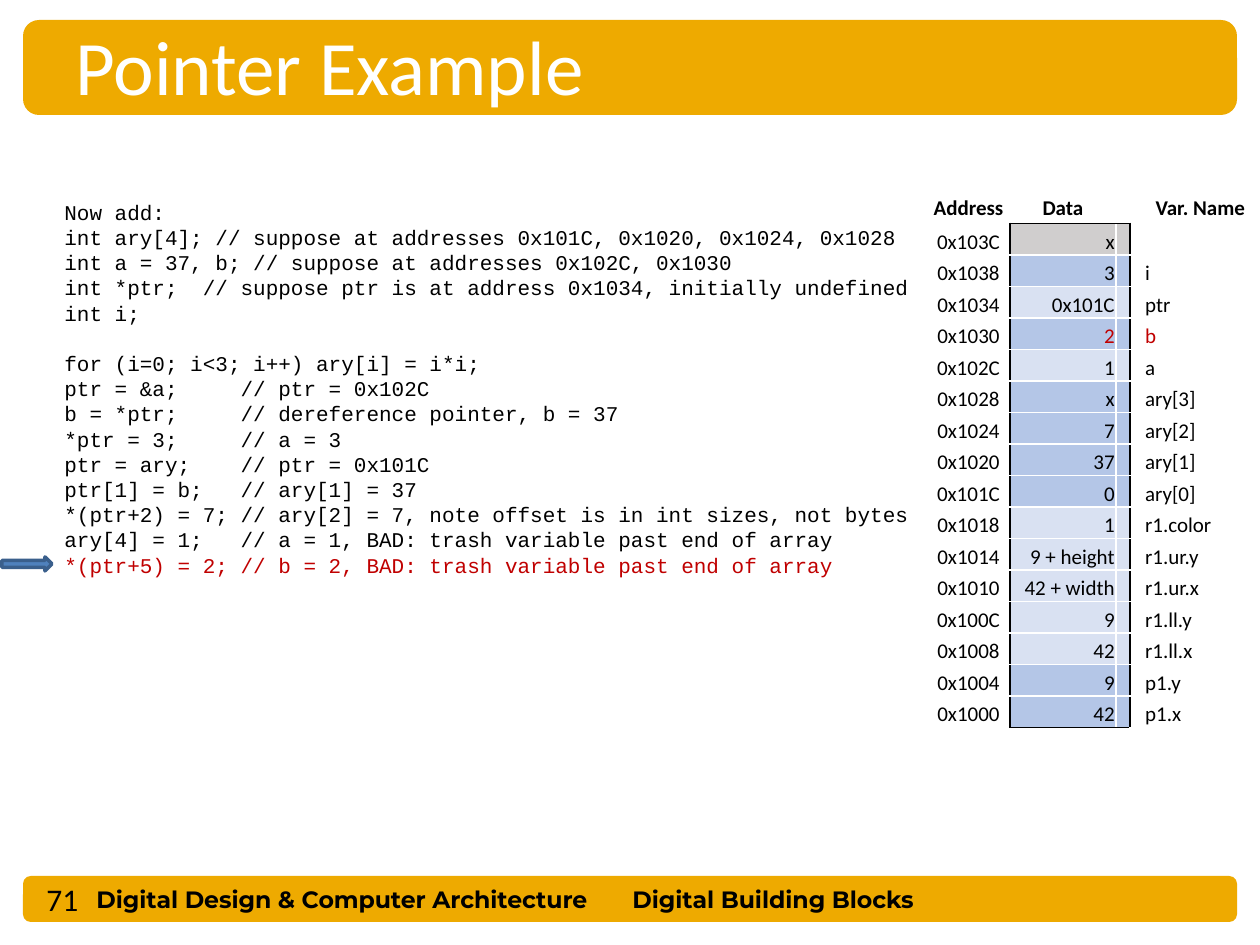
from lxml import etree
from pptx import Presentation
from pptx.dml.color import RGBColor
from pptx.enum.shapes import MSO_SHAPE
from pptx.enum.text import MSO_ANCHOR, PP_ALIGN
from pptx.oxml.ns import qn
from pptx.util import Inches, Pt

ROUNDED = MSO_SHAPE.ROUNDED_RECTANGLE
RIGHT_ARROW = MSO_SHAPE.RIGHT_ARROW
MIDDLE, BOTTOM = MSO_ANCHOR.MIDDLE, MSO_ANCHOR.BOTTOM
LEFT, CENTER, RIGHT = PP_ALIGN.LEFT, PP_ALIGN.CENTER, PP_ALIGN.RIGHT
PX = 914400 / 126
COLORS = {
    "gold": "EEAA00", "black": "000000", "white": "FFFFFF", "red": "C00000",
    "arrow": "4F81BD", "arrow_edge": "3A5F8C",
    "gray": "D0CECE", "blue": "B4C6E7", "pale": "D9E1F2",
}


def style(para, size, font, color="black", bold=False, align=LEFT):
    para.alignment = align
    para.font.size = Pt(size)
    para.font.name = font
    para.font.bold = bold
    para.font.color.rgb = RGBColor.from_string(COLORS[color])


def add_border(cell, side, color):
    line = etree.SubElement(cell._tc.get_or_add_tcPr(), qn(f"a:ln{side}"), w="12700")
    fill = etree.SubElement(line, qn("a:solidFill"))
    etree.SubElement(fill, qn("a:srgbClr"), val=COLORS[color])


deck = Presentation()
deck.slide_width, deck.slide_height = Inches(10), Inches(7.5)
page = deck.slides.add_slide(deck.slide_layouts[6])

for kind, area, fill, edge in [
    (ROUNDED, (23, 876, 1214, 46), "gold", None),
    (ROUNDED, (23, 20, 1214, 95), "gold", None),
    (RIGHT_ARROW, (2, 557, 50, 14), "arrow", "arrow_edge"),
]:
    shape = page.shapes.add_shape(kind, *[int(n * PX) for n in area])
    shape.shadow.inherit = False
    shape.fill.solid()
    shape.fill.fore_color.rgb = RGBColor.from_string(COLORS[fill])
    if edge:
        shape.line.color.rgb = RGBColor.from_string(COLORS[edge])
        shape.line.width = Pt(2)
    else:
        shape.line.fill.background()

for text, area, size, font, color, bold in [
    ("Digital Design & Computer Architecture", (84, 878, 559, 42), 13.5, "Montserrat", "black", True),
    ("Digital Building Blocks", (620, 878, 370, 42), 13.5, "Montserrat", "black", True),
    ("Pointer Example", (63, 12, 1092, 106), 44, "Calibri", "white", False),
    ("71", (34, 874, 103, 49), 18, "Calibri", "black", False),
]:
    box = page.shapes.add_textbox(*[int(n * PX) for n in area])
    box.text_frame.word_wrap = True
    box.text_frame.vertical_anchor = MIDDLE
    para = box.text_frame.paragraphs[0]
    para.text = text
    style(para, size, font, color, bold)

declarations = [
    "Now add:",
    "int ary[4]; // suppose at addresses 0x101C, 0x1020, 0x1024, 0x1028",
    "int a = 37, b; // suppose at addresses 0x102C, 0x1030",
    "int *ptr;  // suppose ptr is at address 0x1034, initially undefined",
    "int i;",
]
statements = [
    "for (i=0; i<3; i++) ary[i] = i*i;",
    "ptr = &a;     // ptr = 0x102C",
    "b = *ptr;     // dereference pointer, b = 37",
    "*ptr = 3;     // a = 3",
    "ptr = ary;    // ptr = 0x101C",
    "ptr[1] = b;   // ary[1] = 37",
    "*(ptr+2) = 7; // ary[2] = 7, note offset is in int sizes, not bytes",
    "ary[4] = 1;   // a = 1, BAD: trash variable past end of array",
    "*(ptr+5) = 2; // b = 2, BAD: trash variable past end of array",
]
code_box = page.shapes.add_textbox(*[int(n * PX) for n in (52, 193, 906, 394)])
code_box.text_frame.word_wrap = True
code_box.text_frame.text = "\n".join(declarations + statements)
code_lines = code_box.text_frame.paragraphs
for para in code_lines:
    para.line_spacing = Pt(14.4)
    style(para, 12, "Courier New", "red" if para is code_lines[-1] else "black")
code_lines[len(declarations)].space_before = Pt(14.4)

memory = [
    ("x", "", "gray"), ("3", "i", "blue"), ("0x101C", "ptr", "pale"),
    ("2", "b", "blue"), ("1", "a", "pale"), ("x", "ary[3]", "blue"),
    ("7", "ary[2]", "blue"), ("37", "ary[1]", "blue"), ("0", "ary[0]", "blue"),
    ("1", "r1.color", "pale"), ("9 + height", "r1.ur.y", "pale"),
    ("42 + width", "r1.ur.x", "pale"), ("9", "r1.ll.y", "pale"),
    ("42", "r1.ll.x", "pale"), ("9", "p1.y", "blue"), ("42", "p1.x", "blue"),
]
rows = [("Address", "Data", "", "", "Var. Name", None)]
for index, (value, variable, fill) in enumerate(memory):
    rows.append((f"0x{0x103C - 4 * index:X}", value, "", "", variable, fill))

frame = page.shapes.add_table(len(rows), 5, *[int(n * PX) for n in (927, 192, 330, 536)])
table = frame.table
table.first_row = table.horz_banding = False
for column, width in zip(table.columns, (83, 106, 14, 14, 113)):
    column.width = int(width * PX)

last = len(rows) - 1
aligns = (CENTER, RIGHT, LEFT, LEFT, LEFT)
for r, (*texts, fill) in enumerate(rows):
    for c, text in enumerate(texts):
        cell = table.cell(r, c)
        cell.margin_left = cell.margin_right = cell.margin_top = Inches(0.01)
        cell.margin_bottom = 0
        cell.vertical_anchor = BOTTOM if r else MIDDLE
        para = cell.text_frame.paragraphs[0]
        if text:
            para.text = text
        else:
            etree.SubElement(para._p, qn("a:endParaRPr"), sz="1200")
        changed = texts[4] == "b" and c in (1, 4)
        style(para, 12, "Calibri", "red" if changed else "black", r == 0, aligns[c] if r else CENTER)

        in_data = c in (1, 2)
        if r and c in (1, 3):
            add_border(cell, "L", "black")
        if r and c in (0, 2):
            add_border(cell, "R", "black")
        if r and in_data:
            add_border(cell, "T", "black" if r == 1 else "white")
        if in_data:
            add_border(cell, "B", "black" if r in (0, last) else "white")
        if fill and in_data:
            cell.fill.solid()
            cell.fill.fore_color.rgb = RGBColor.from_string(COLORS[fill])
        else:
            cell.fill.background()

deck.save("out.pptx")
